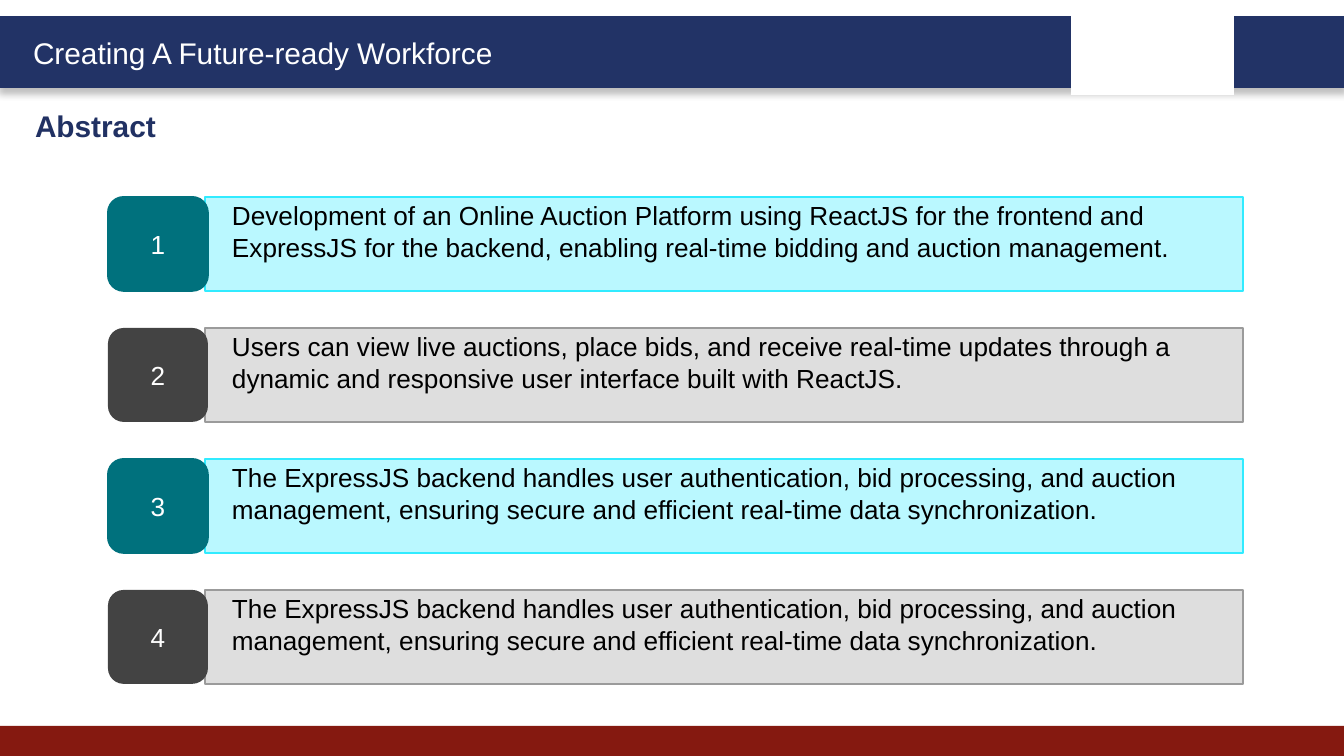
import pptx
import pptx.dml.color
import pptx.enum.shapes
import pptx.enum.text
import pptx.oxml
import pptx.oxml.ns
import pptx.util

SHAPES = pptx.enum.shapes.MSO_SHAPE
ALIGN = pptx.enum.text.PP_ALIGN
ANCHOR = pptx.enum.text.MSO_ANCHOR
EMU_PER_PX = 914400 / 134.4


def px(length):
    return pptx.util.Emu(round(length * EMU_PER_PX))


def color(value):
    return pptx.dml.color.RGBColor.from_string(value)


class SlideBuilder:
    font = "Arial"
    heading_size = 16
    body_size = 14
    inset = 13

    def __init__(self, slide):
        self.slide = slide

    def shape(self, kind, left, top, width, height, fill, line=None, line_width=1):
        shape = self.slide.shapes.add_shape(
            kind, px(left), px(top), px(width), px(height))
        shape.shadow.inherit = False
        shape.fill.solid()
        shape.fill.fore_color.rgb = color(fill)
        if line:
            shape.line.color.rgb = color(line)
            shape.line.width = pptx.util.Pt(line_width)
        else:
            shape.line.fill.background()
        return shape

    def drop_shadow(self, shape):
        effects = shape._element.spPr.find(pptx.oxml.ns.qn("a:effectLst"))
        effects.append(pptx.oxml.parse_xml(
            f'<a:outerShdw {pptx.oxml.ns.nsdecls("a")} blurRad="50800" '
            'dist="38100" dir="5400000" algn="t" rotWithShape="0">'
            '<a:srgbClr val="000000"><a:alpha val="25000"/></a:srgbClr>'
            '</a:outerShdw>'))

    def fill_text(self, box, text, size, ink, bold=False, align=ALIGN.LEFT,
                  anchor=ANCHOR.MIDDLE, left_inset=inset, top_inset=0,
                  spacing=1.0):
        frame = box.text_frame
        frame.word_wrap = True
        frame.auto_size = pptx.enum.text.MSO_AUTO_SIZE.NONE
        frame.vertical_anchor = anchor
        frame.margin_left, frame.margin_right = px(left_inset), px(self.inset)
        frame.margin_top, frame.margin_bottom = px(top_inset), 0
        para = frame.paragraphs[0]
        para.alignment = align
        para.line_spacing = spacing
        span = para.add_run()
        span.text = text
        span.font.name = self.font
        span.font.size = pptx.util.Pt(size)
        span.font.bold = bold
        span.font.color.rgb = color(ink)

    def title(self, text, left, top, width, height, ink):
        box = self.slide.shapes.title
        box.left, box.top = px(left), px(top)
        box.width, box.height = px(width), px(height)
        self.fill_text(box, text, self.heading_size, ink, bold=True)

    def label(self, text, left, top, width, height, ink):
        box = self.slide.shapes.add_textbox(
            px(left), px(top), px(width), px(height))
        self.fill_text(box, text, self.heading_size, ink)

    def numbered_row(self, number, text, top, height, palette):
        panel = self.shape(SHAPES.RECTANGLE, 205, top, 1038, height,
                           palette["panel"], palette["border"])
        self.fill_text(panel, text, self.body_size, "000000", anchor=ANCHOR.TOP,
                       left_inset=27, top_inset=1, spacing=1.04)
        badge = self.shape(SHAPES.ROUNDED_RECTANGLE, 108, top, 100, height,
                           palette["badge"], palette["badge_line"])
        self.fill_text(badge, str(number), self.body_size, "FFFFFF",
                       align=ALIGN.CENTER)


TEAL = {"panel": "BAF8FF", "border": "31EBFF",
        "badge": "00717D", "badge_line": "00717D"}
GRAY = {"panel": "DEDEDE", "border": "9B9B9B",
        "badge": "434343", "badge_line": None}
BACKEND = ("The ExpressJS backend handles user authentication, bid processing, "
           "and auction management, ensuring secure and efficient real-time "
           "data synchronization.")
ABSTRACT = [
    "Development of an Online Auction Platform using ReactJS for the frontend "
    "and ExpressJS for the backend, enabling real-time bidding and auction "
    "management.",
    "Users can view live auctions, place bids, and receive real-time updates "
    "through a dynamic and responsive user interface built with ReactJS.",
    BACKEND,
    BACKEND,
]
FIRST_ROW, ROW_PITCH, ROW_HEIGHT = 197, 131, 94


def main():
    deck = pptx.Presentation()
    deck.slide_width, deck.slide_height = px(1344), px(756)
    page = SlideBuilder(deck.slides.add_slide(deck.slide_layouts[5]))

    # Banner, its white panel and the footer bar
    banner = page.shape(SHAPES.RECTANGLE, 0, 18, 1344, 68,
                        "223366", "223366", line_width=2)
    page.drop_shadow(banner)
    page.shape(SHAPES.RECTANGLE, 0, 726, 1344, 30, "851910")
    page.shape(SHAPES.RECTANGLE, 1071, 9, 163, 86, "FFFFFF")
    page.label("Creating A Future-ready Workforce", 20, 28, 508, 50, "FFFFFF")

    # Slide title
    page.title("Abstract", 22, 101, 650, 50, "213163")

    # Numbered rows in alternating colours
    for index, text in enumerate(ABSTRACT):
        page.numbered_row(index + 1, text, FIRST_ROW + index * ROW_PITCH,
                          ROW_HEIGHT, GRAY if index % 2 else TEAL)

    deck.save("out.pptx")


if __name__ == "__main__":
    main()
